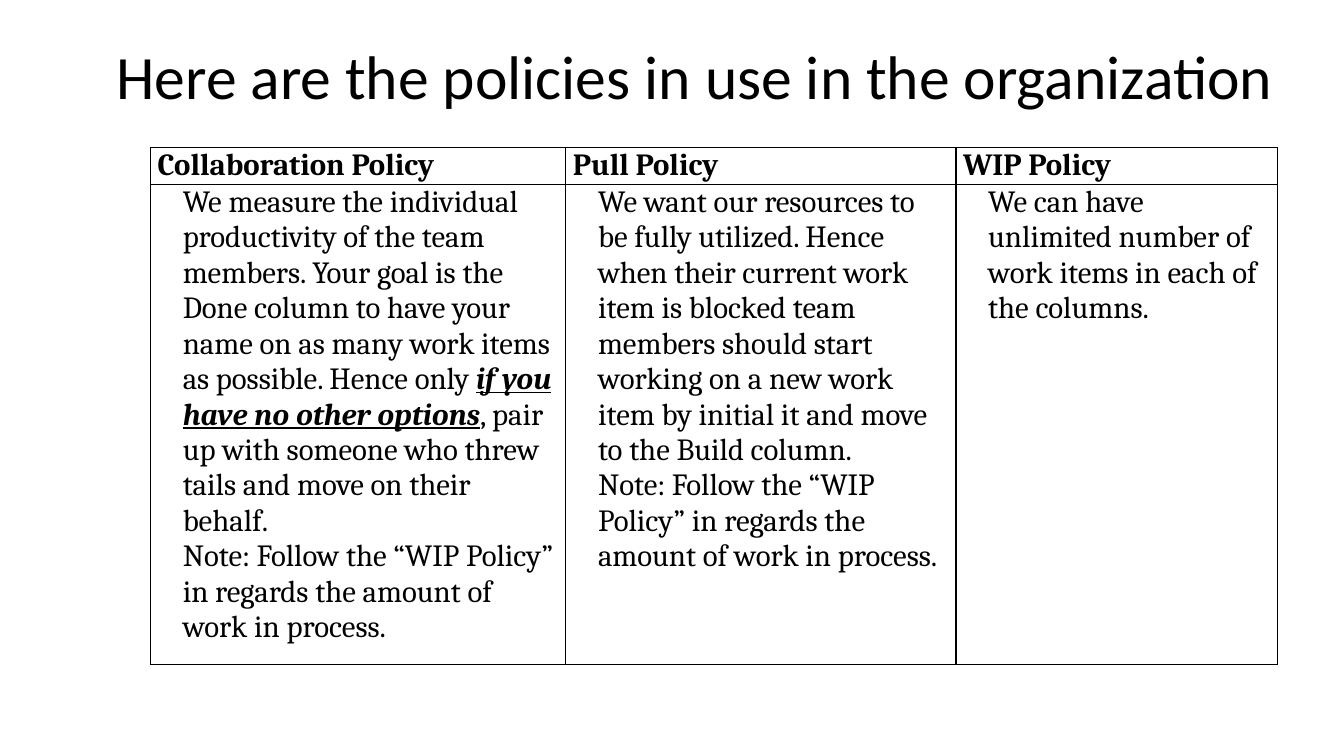
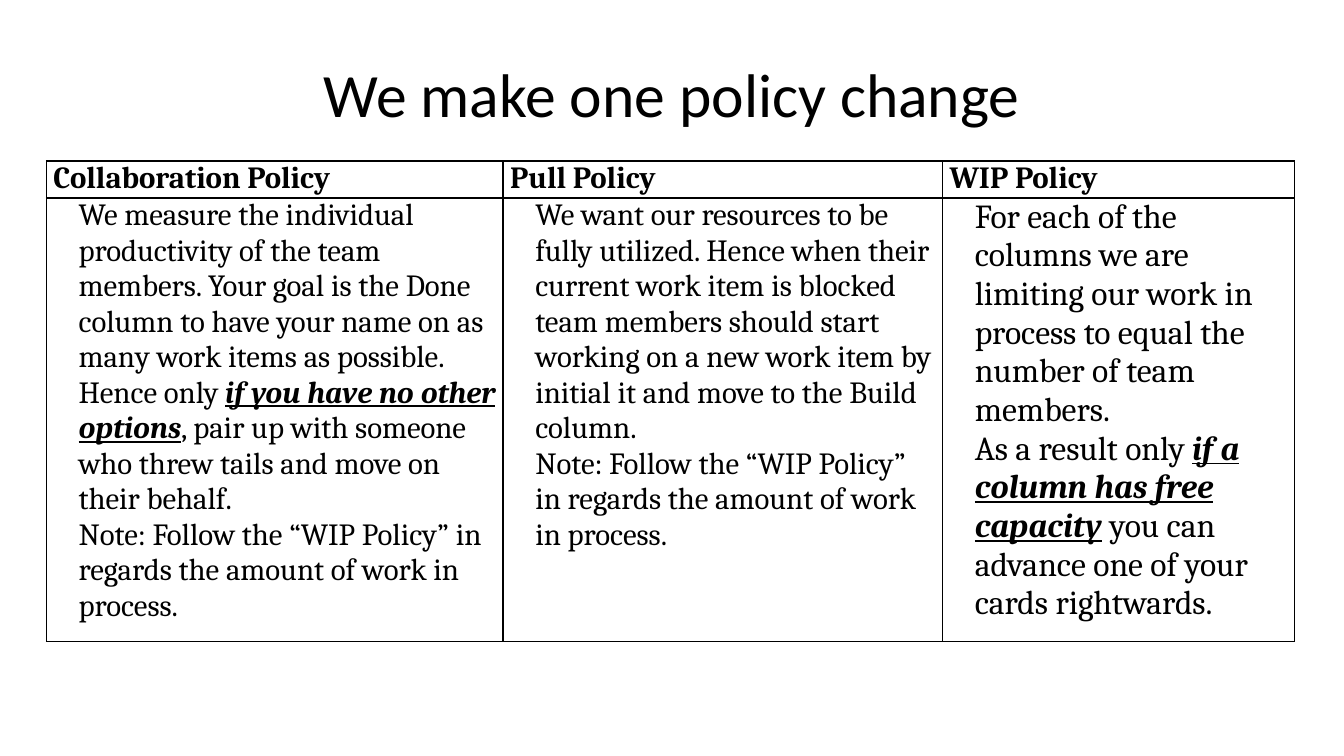
import dataclasses
import itertools

import lxml.etree
import pptx
import pptx.dml.color
import pptx.enum.text
import pptx.oxml.ns
import pptx.util


@dataclasses.dataclass(frozen=True)
class Theme:
    ink: str = "000000"
    paper: str = "FFFFFF"
    head_font: str = "Calibri"
    body_font: str = "Cambria"
    title: int = 44
    text: int = 22
    large: int = 24
    line: float = 1
    inset: float = 0.07
    indent: float = 0.25


class Deck:
    """Places elements on a grid of 100 columns by 100 rows."""

    def __init__(self, theme):
        self.theme = theme
        self.show = pptx.Presentation()
        self.show.slide_width = pptx.util.Inches(13.33)
        self.show.slide_height = pptx.util.Inches(7.5)
        self.slide = None

    def col(self, n):
        return round(self.show.slide_width * n / 100)

    def row(self, n):
        return round(self.show.slide_height * n / 100)

    def add(self):
        self.slide = self.show.slides.add_slide(self.show.slide_layouts[6])
        fill = self.slide.background.fill
        fill.solid()
        fill.fore_color.rgb = self.color(self.theme.paper)

    def color(self, code):
        return pptx.dml.color.RGBColor.from_string(code)

    def style(self, para, name, size, bold=False):
        font = para.font
        font.name, font.size, font.bold = name, pptx.util.Pt(size), bold
        font.color.rgb = self.color(self.theme.ink)

    def title(self, text, left, top):
        box = self.slide.shapes.add_textbox(
            self.col(left), self.row(top), self.col(90), self.row(16.67))
        frame = box.text_frame
        frame.word_wrap = True
        frame.vertical_anchor = pptx.enum.text.MSO_ANCHOR.MIDDLE
        para = frame.paragraphs[0]
        para.text = text
        para.alignment = pptx.enum.text.PP_ALIGN.CENTER
        self.style(para, self.theme.head_font, self.theme.title)

    def table(self, left, top, cols, rows, heads, bodies):
        """Draw a heading row over one body cell per column."""
        table = self.slide.shapes.add_table(
            2, len(cols), self.col(left), self.row(top),
            self.col(sum(cols)), self.row(sum(rows))).table
        table.first_row = table.horz_banding = False
        for part, width in zip(table.columns, cols):
            part.width = self.col(width)
        for part, height in zip(table.rows, rows):
            part.height = self.row(height)
        for i, (head, (size, paras)) in enumerate(zip(heads, bodies)):
            self.cell(table.cell(0, i), [head], self.theme.text, True)
            self.cell(table.cell(1, i), paras, size)

    def cell(self, cell, texts, size, head=False):
        self.border(cell)
        cell.fill.solid()
        cell.fill.fore_color.rgb = self.color(self.theme.paper)
        cell.margin_left = cell.margin_right = pptx.util.Inches(self.theme.inset)
        cell.margin_top = cell.margin_bottom = 0
        frame = cell.text_frame
        for i, text in enumerate(texts):
            para = frame.add_paragraph() if i else frame.paragraphs[0]
            if not head:
                props = para._p.get_or_add_pPr()
                props.set("marL", str(pptx.util.Inches(self.theme.indent)))
                props.set("indent", "0")
            self.style(para, self.theme.body_font, size, head)
            self.runs(para, text)

    def runs(self, para, text):
        """Add runs; words between asterisks are stressed."""
        for piece, stress in zip(text.split("*"), itertools.cycle((False, True))):
            run = para.add_run()
            run.text = piece
            if stress:
                run.font.bold = run.font.italic = run.font.underline = True

    def border(self, cell):
        props = cell._tc.get_or_add_tcPr()
        name = pptx.oxml.ns.qn
        for side in "LRTB":
            line = lxml.etree.SubElement(props, name(f"a:ln{side}"))
            line.set("w", str(pptx.util.Pt(self.theme.line)))
            fill = lxml.etree.SubElement(line, name("a:solidFill"))
            lxml.etree.SubElement(fill, name("a:srgbClr")).set("val", self.theme.ink)


HEADS = ["Collaboration Policy", "Pull Policy", "WIP Policy"]
NOTE = "Note: Follow the “WIP Policy” in regards the amount of work in process."
TEAM = [
    "We measure the individual productivity of the team members. Your goal is "
    "the Done column to have your name on as many work items as possible. Hence "
    "only *if you have no other options*, pair up with someone who threw tails "
    "and move on their behalf.",
    NOTE,
]
PULL = [
    "We want our resources to be fully utilized. Hence when their current work "
    "item is blocked team members should start working on a new work item by "
    "initial it and move to the Build column.",
    NOTE,
]
FREE = ["We can have unlimited number of work items in each of the columns."]
LIMIT = [
    "For each of the columns we are limiting our work in process to equal the "
    "number of team members.",
    "As a result only *if a column has free capacity* you can advance one of "
    "your cards rightwards.",
]


def main():
    theme = Theme()
    deck = Deck(theme)
    shared = [(theme.text, TEAM), (theme.text, PULL)]

    deck.add()
    deck.title("Here are the policies in use in the organization ", 7.25, 1.6)
    deck.table(11.2, 19.5, (30.9, 29.03, 23.9), (4.7, 60.9),
               HEADS, shared + [(theme.text, FREE)])

    deck.add()
    deck.title("We make one policy change", 5, 4)
    deck.table(3.45, 21.3, (33.98, 32.7, 26.18), (4.7, 56.3),
               HEADS, shared + [(theme.large, LIMIT)])

    deck.show.save("out.pptx")


if __name__ == "__main__":
    main()
